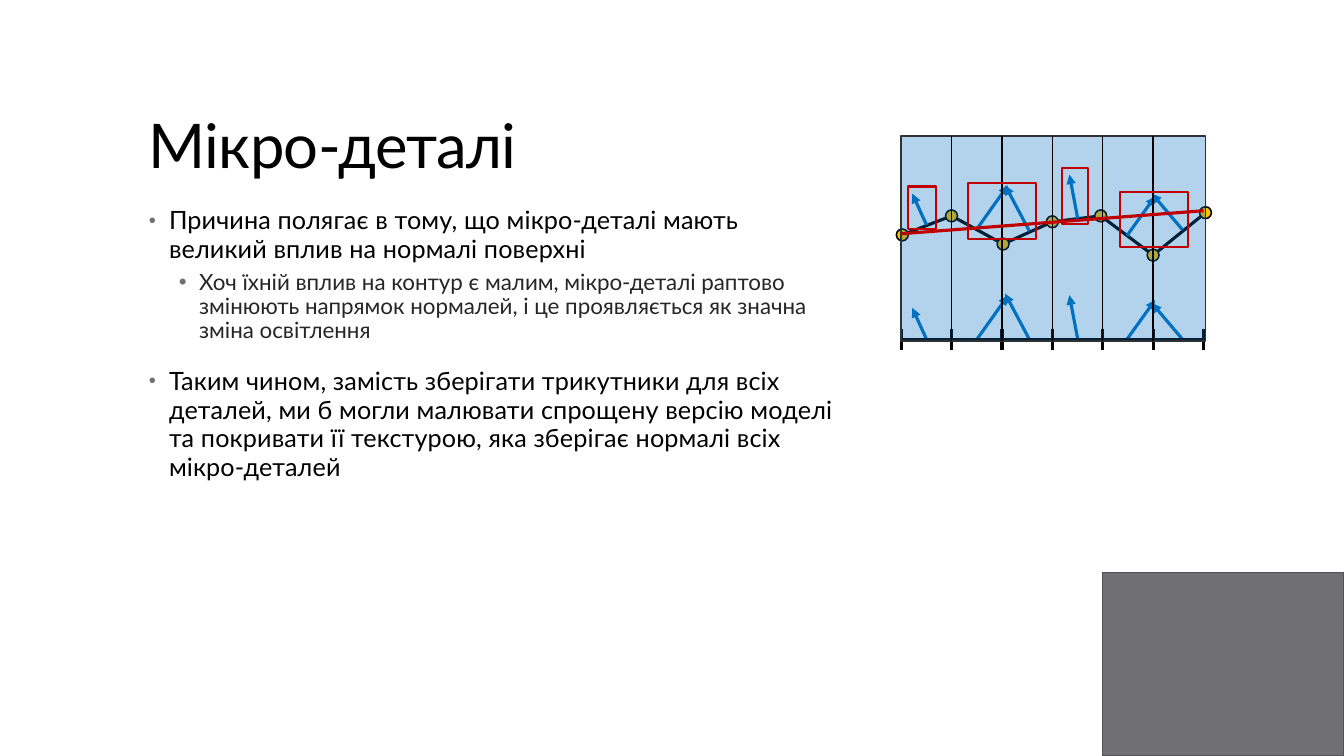
import math

from lxml import etree
from pptx import Presentation
from pptx import util as u
from pptx.dml.color import RGBColor
from pptx.enum import shapes, text
from pptx.oxml.ns import qn

Cm, Pt = u.Cm, u.Pt
FONT = "Lato"
COLORS = {
    "text": "000000", "subtext": "262626", "bullet": "6F6F74",
    "corner": "6F6F74", "corner_line": "525256",
    "normal": "0070C0", "panel_line": "313133",
    "vertex": "FFC000", "red": "C00000", "black": "000000",
}
# indent, line spacing, space before, space after, size, colour, tracking, bullet %
LEVELS = [
    dict(margin=0.51, line=0.95, before=14, after=2, size=18,
         color="text", spc=10, bullet=80),
    dict(margin=1.27, line=0.9, before=3, after=3, size=16,
         color="subtext", spc=0, bullet=100),
]
BODY = [
    (0, "Причина полягає в тому, що мікро-деталі мають великий вплив на "
        "нормалі поверхні"),
    (1, "Хоч їхній вплив на контур є малим, мікро-деталі раптово змінюють "
        "напрямок нормалей, і це проявляється як значна зміна освітлення"),
    (0, "Таким чином, замість зберігати трикутники для всіх деталей, ми б "
        "могли малювати спрощену версію моделі та покривати її текстурою, "
        "яка зберігає нормалі всіх мікро-деталей"),
]
# Diagram geometry in cm, relative to its panel
COLUMNS, STEP, BASELINE, RADIUS = 6, 1.27, 5.12, 0.15
VERTICES = [(0.03, 2.49), (1.27, 2.01), (2.57, 2.72), (3.81, 2.16),
            (5.03, 2.01), (6.35, 3.0), (7.67, 1.93)]
NORMALS = [(0.64, 2.24, 0.28, 1.45), (1.91, 2.34, 2.69, 1.24),
           (3.23, 2.39, 2.62, 1.24), (4.45, 2.08, 4.24, 0.97),
           (5.69, 2.51, 6.4, 1.52), (7.09, 2.36, 6.32, 1.45)]
FRAMES = [(0.18, 1.27, 0.69, 1.07), (1.68, 1.19, 1.73, 1.4),
          (5.51, 1.4, 1.73, 1.4), (4.06, 0.81, 0.64, 1.4)]


def rgb(name):
    return RGBColor.from_string(COLORS[name])


def add_block(s, kind, box, fill, line, width):
    sp = s.shapes.add_shape(kind, *(Cm(v) for v in box))
    sp.shadow.inherit = False
    if fill:
        sp.fill.solid()
        sp.fill.fore_color.rgb = rgb(fill)
    else:
        sp.fill.background()
    sp.line.color.rgb = rgb(line)
    sp.line.width = Pt(width)
    return sp


def add_line(s, origin, ends, color, width, arrow=False):
    x, y = origin
    x1, y1, x2, y2 = ends
    line = s.shapes.add_connector(shapes.MSO_CONNECTOR.STRAIGHT, Cm(x + x1),
                                  Cm(y + y1), Cm(x + x2), Cm(y + y2))
    line.line.color.rgb = rgb(color)
    line.line.width = Pt(width)
    if arrow:
        etree.SubElement(line.line._get_or_add_ln(), qn("a:tailEnd"), type="triangle")
    etree.SubElement(line._element.spPr, qn("a:effectLst"))


def add_text_box(s, box, anchor):
    tf = s.shapes.add_textbox(*(Cm(v) for v in box)).text_frame
    tf.word_wrap = True
    tf.vertical_anchor = anchor
    return tf


def add_run(p, words, size, color, spc):
    r = p.add_run()
    r.text = words
    r.font.name = FONT
    r.font.size = Pt(size)
    r.font.color.rgb = rgb(color)
    r._r.get_or_add_rPr().set("spc", str(spc))


def add_bullet(p, margin, percent):
    pPr = p._p.get_or_add_pPr()
    pPr.set("marL", str(Cm(margin)))
    pPr.set("indent", str(-Cm(0.51)))
    color = etree.SubElement(pPr, qn("a:buClr"))
    etree.SubElement(color, qn("a:srgbClr"), val=COLORS["bullet"])
    etree.SubElement(pPr, qn("a:buSzPct"), val=str(percent * 1000))
    etree.SubElement(pPr, qn("a:buFont"), typeface="Arial")
    etree.SubElement(pPr, qn("a:buChar"), char="•")


def add_title(s, box):
    p = add_text_box(s, box, text.MSO_ANCHOR.BOTTOM).paragraphs[0]
    p.line_spacing = 0.9
    add_run(p, "Мікро-деталі", 44, "text", -50)


def add_body(s, box):
    tf = add_text_box(s, box, text.MSO_ANCHOR.TOP)
    for i, (level, words) in enumerate(BODY):
        p = tf.add_paragraph() if i else tf.paragraphs[0]
        style = LEVELS[level]
        add_bullet(p, style["margin"], style["bullet"])
        p.level = level
        p.line_spacing = style["line"]
        p.space_before = Pt(style["before"] if i else 0)
        p.space_after = Pt(style["after"])
        add_run(p, words, style["size"], style["color"], style["spc"])


def add_diagram(s, box):
    origin = x, y = box[:2]
    height = box[3]

    # Detailed surface, trimmed at the vertex circles
    for (x1, y1), (x2, y2) in zip(VERTICES, VERTICES[1:]):
        trim = RADIUS / math.hypot(x2 - x1, y2 - y1)
        dx, dy = (x2 - x1) * trim, (y2 - y1) * trim
        add_line(s, origin, (x1 + dx, y1 + dy, x2 - dx, y2 - dy), "black", 2.25)

    # Surface normals
    for normal in NORMALS:
        add_line(s, origin, normal, "normal", 2.25, arrow=True)

    # Vertices
    for vx, vy in VERTICES:
        circle = (x + vx - RADIUS, y + vy - RADIUS, 2 * RADIUS, 2 * RADIUS)
        add_block(s, shapes.MSO_SHAPE.OVAL, circle, "vertex", "black", 1.1)

    # The same normals lowered to the texture axis
    for x1, y1, x2, y2 in NORMALS:
        drop = BASELINE - y1
        add_line(s, origin, (x1, BASELINE, x2, y2 + drop), "normal", 2.25, arrow=True)

    # Texture axis with ticks
    for i in range(COLUMNS + 1):
        tick = i * STEP
        if i < COLUMNS:
            add_line(s, origin, (tick, BASELINE, tick + STEP, BASELINE), "black", 2.25)
        add_line(s, origin, (tick, BASELINE - 0.27, tick, BASELINE + 0.28), "black", 2.25)

    # Translucent panel and its column lines
    panel = add_block(s, shapes.MSO_SHAPE.RECTANGLE, box, "normal", "panel_line", 1.1)
    tint = panel._element.spPr.find(qn("a:solidFill")).find(qn("a:srgbClr"))
    etree.SubElement(tint, qn("a:alpha"), val="30000")
    for i in range(1, COLUMNS):
        add_line(s, origin, (i * STEP, height, i * STEP, 0), "black", 1)

    # Simplified surface and highlighted normals
    add_line(s, origin, (0, 2.46, COLUMNS * STEP, 1.88), "red", 2.25)
    for fx, fy, w, h in FRAMES:
        add_block(s, shapes.MSO_SHAPE.RECTANGLE, (x + fx, y + fy, w, h), None, "red", 1.5)


def main():
    prs = Presentation()
    prs.slide_width, prs.slide_height = Cm(33.87), Cm(19.05)
    s = prs.slides.add_slide(prs.slide_layouts[6])
    # Corner block
    add_block(s, shapes.MSO_SHAPE.RECTANGLE, (27.78, 14.43, 6.09, 4.62),
              "corner", "corner_line", 1.1)
    add_title(s, (3.5, 1.02, 26.92, 3.68))
    add_body(s, (3.5, 5.08, 17.98, 11.23))
    add_diagram(s, (22.71, 3.43, 7.67, 5.16))
    prs.save("out.pptx")


if __name__ == "__main__":
    main()
